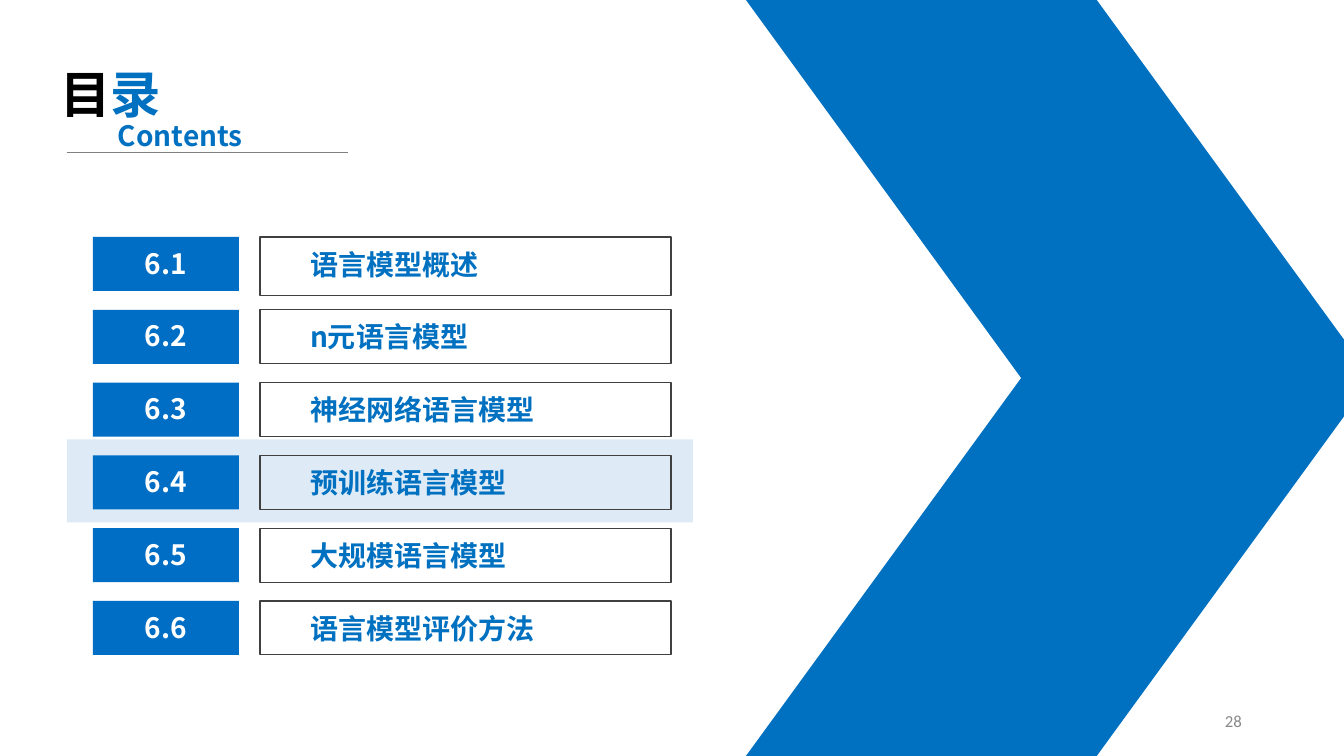
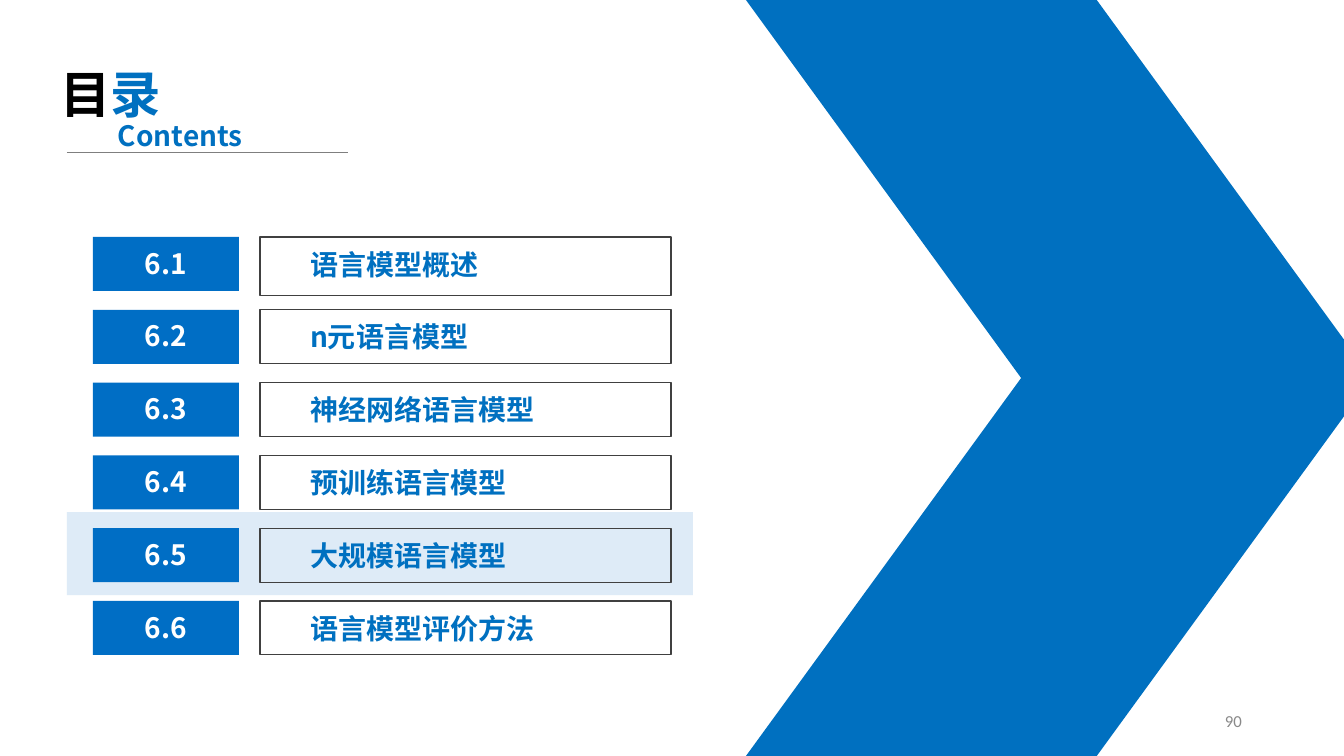
from pptx import Presentation
from pptx.dml.color import RGBColor
from pptx.enum.shapes import MSO_CONNECTOR as Connector, MSO_SHAPE as Shape
from pptx.enum.text import MSO_ANCHOR as Anchor, MSO_AUTO_SIZE as AutoSize, PP_ALIGN as Align
from pptx.oxml.ns import qn
from pptx.util import Emu, Pt
from lxml.etree import SubElement

SLIDE_WIDTH, SLIDE_HEIGHT = 1344, 756
EMU_PER_PX = 12192000 / SLIDE_WIDTH
TITLE_ONLY = 5

BLUE, CHIP_BLUE, PALE_BLUE = "0070C0", "006EC5", "DEEBF7"
BLACK, WHITE, BORDER, RULE, GREY = "000000", "FFFFFF", "404040", "7F7F7F", "898989"
HEADING_FONT, NUMBER_FONT = "Noto Sans CJK SC", "Calibri"

ENTRY = {"size": 20, "bold": True, "name": HEADING_FONT}
TITLE = ENTRY | {"size": 36}
PAGE_NUMBER = {"size": 12, "bold": False, "name": NUMBER_FONT}

SECTIONS = ["语言模型概述", "n元语言模型", "神经网络语言模型",
            "预训练语言模型", "大规模语言模型", "语言模型评价方法"]
AGENDA_SLIDES = [(4, "28"), (5, "90")]


def px(length):
    """Turn pixels into EMU."""
    return Emu(round(length * EMU_PER_PX))


def color(value):
    """Turn a hex string into a colour."""
    return RGBColor.from_string(value)


def add_run(paragraph, text, style, text_color):
    """Append a run with its Latin and East Asian fonts."""
    run = paragraph.add_run()
    run.text = text
    run.font.color.rgb = color(text_color)
    for key, value in style.items():
        setattr(run.font, key, Pt(value) if key == "size" else value)
    SubElement(run.font._element, qn("a:ea")).set("typeface", style["name"])


def write(shape, runs, style, align=Align.LEFT, anchor=Anchor.TOP, left=10, top=5):
    """Fill a shape's text frame with one paragraph of coloured runs."""
    frame = shape.text_frame
    settings = {"word_wrap": True, "auto_size": AutoSize.NONE, "vertical_anchor": anchor,
                "margin_left": px(left), "margin_right": px(10),
                "margin_top": px(top), "margin_bottom": px(5)}
    for key, value in settings.items():
        setattr(frame, key, value)
    paragraph = frame.paragraphs[0]
    paragraph.alignment = align
    for text, text_color in runs:
        add_run(paragraph, text, style, text_color)


def add_panel(slide, box, kind=Shape.RECTANGLE, fill=None, line=None):
    """Add a flat shape with an optional fill and border."""
    shape = slide.shapes.add_shape(kind, *map(px, box))
    shape.shadow.inherit = False
    if fill:
        shape.fill.solid()
        shape.fill.fore_color.rgb = color(fill)
    else:
        shape.fill.background()
    if line:
        shape.line.color.rgb = color(line)
        shape.line.width = Pt(0.75)
    else:
        shape.line.fill.background()
    return shape


def add_text(slide, box, text, style, text_color, **layout):
    """Add a text box with a single run."""
    write(slide.shapes.add_textbox(*map(px, box)), [(text, text_color)], style, **layout)


def add_chevron(slide, box):
    """Build the large arrow from two mirrored parallelograms."""
    left, top, width, height = box
    half = height / 2
    for row, flipped in enumerate((True, False)):
        arm = add_panel(slide, (left, top + row * half, width, half),
                        Shape.PARALLELOGRAM, BLUE)
        arm.adjustments[0] = 0.728
        if flipped:
            arm._element.spPr.find(qn("a:xfrm")).set("flipV", "1")


def add_heading(slide, box):
    """Place the two-colour title, its subtitle and the rule below."""
    left, top, width, height = box
    title = slide.shapes.title
    title_box = {"left": left - 17, "top": top, "width": 158, "height": 72}
    for key, value in title_box.items():
        setattr(title, key, px(value))
    write(title, [("目", BLACK), ("录", BLUE)], TITLE)
    add_text(slide, (left + 41, top + 55, 158, 44), "Contents", ENTRY, BLUE)
    bottom = top + height
    rule = slide.shapes.add_connector(
        Connector.STRAIGHT, px(left), px(bottom), px(left + width), px(bottom))
    rule.line.color.rgb = color(RULE)
    rule.line.width = Pt(0.5)
    SubElement(rule._element.spPr, qn("a:effectLst"))


def add_agenda(slide, box, current):
    """List the sections in equal rows and highlight the current one."""
    left, top, width, height = box
    row_height, first_label_height = 54, 59
    pitch = (height - row_height) / (len(SECTIONS) - 1)
    add_panel(slide, (left, top + (current - 1) * pitch - 16, width, 83), fill=PALE_BLUE)
    for index, name in enumerate(SECTIONS):
        row_top = top + index * pitch
        label_height = row_height if index else first_label_height
        label = add_panel(slide, (left + 193, row_top, 411, label_height), line=BORDER)
        write(label, [(name, BLUE)], ENTRY, left=50, top=10)
        chip = add_panel(slide, (left + 26, row_top, 146, row_height), fill=CHIP_BLUE)
        write(chip, [(f"6.{index + 1}", WHITE)], ENTRY, Align.CENTER, top=9)


def add_agenda_slide(presentation, current, number):
    """Add one contents slide with its highlighted section."""
    slide = presentation.slides.add_slide(presentation.slide_layouts[TITLE_ONLY])
    add_chevron(slide, (746, 0, 626, SLIDE_HEIGHT))
    add_heading(slide, (67, 58, 281, 94))
    add_agenda(slide, (67, 237, 626, 418), current)
    add_text(slide, (950, 701, 302, 40), number, PAGE_NUMBER, GREY,
             align=Align.RIGHT, anchor=Anchor.MIDDLE)


def main():
    """Build and save the presentation."""
    presentation = Presentation()
    presentation.slide_width = px(SLIDE_WIDTH)
    presentation.slide_height = px(SLIDE_HEIGHT)
    for current, number in AGENDA_SLIDES:
        add_agenda_slide(presentation, current, number)
    presentation.save("out.pptx")


if __name__ == "__main__":
    main()
